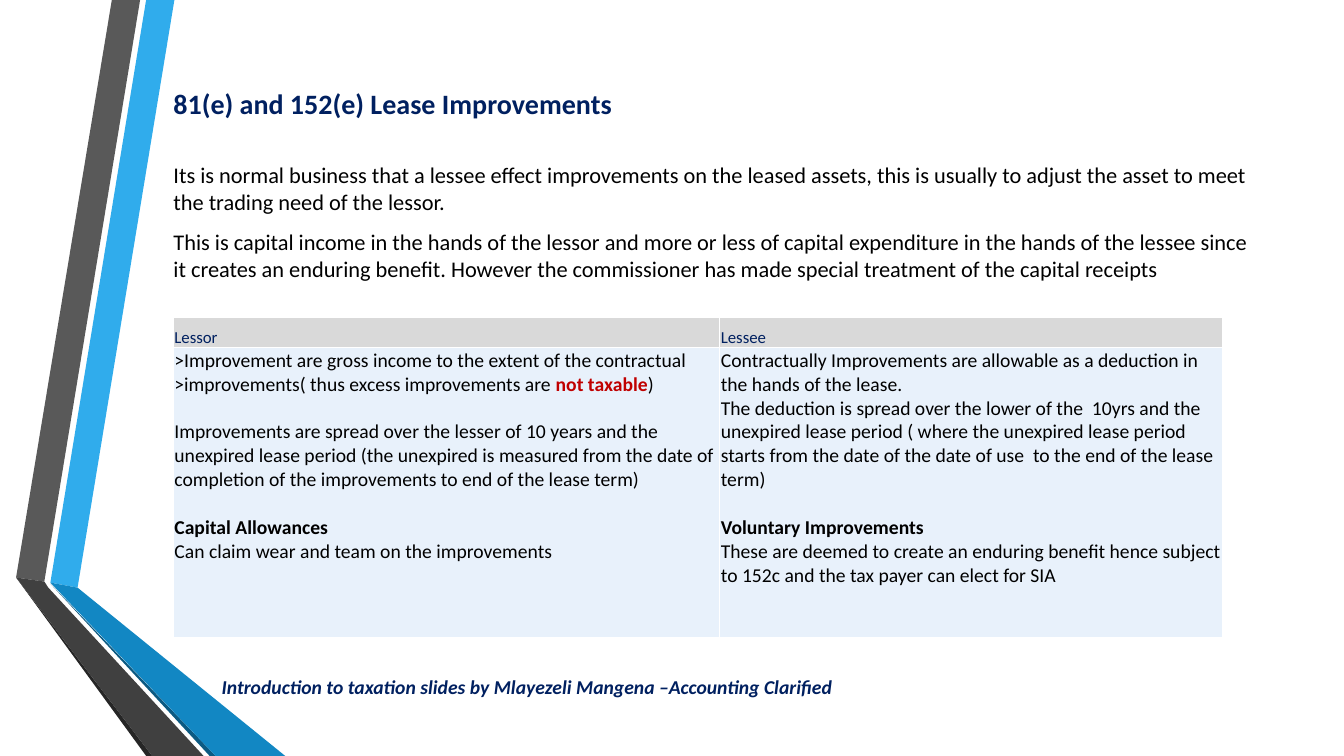
import pptx
import pptx.dml.color
import pptx.enum.text
import pptx.oxml
import pptx.oxml.ns
import pptx.util
from dataclasses import dataclass

Inches = pptx.util.Inches
Pt = pptx.util.Pt
Anchor = pptx.enum.text.MSO_ANCHOR


@dataclass(frozen=True)
class Theme:
    font: str = "Calibri"
    navy: str = "002060"
    black: str = "000000"
    red: str = "C00000"
    white: str = "FFFFFF"
    header_fill: str = "D9D9D9"
    cell_fill: str = "E8F1FB"
    title_size: int = 20
    body_size: int = 16
    table_size: int = 14
    header_size: int = 12
    footer_size: int = 14
    line_gap: int = 17  # one table text line, in points


THEME = Theme()

# Ribbon down the left edge: fill and corner points, back to front
RIBBON = [
    ("30ACEC", [(0.5, 5.78), (0.77, 5.83), (1.73, 0), (1.45, 0)]),
    ("595959", [(1.39, 0), (1.11, 0), (0.16, 5.73), (0.44, 5.77)]),
    ("262626", [(0.16, 5.73), (1.45, 7.5), (1.51, 7.5)]),
    ("0C5A82", [(0.5, 5.79), (2.08, 7.5), (2.14, 7.5)]),
    ("1287C3", [(0.5, 5.78), (2.14, 7.5), (2.83, 7.5), (0.77, 5.83)]),
    ("404040", [(2.02, 7.5), (0.48, 5.83), (0.44, 5.77), (0.16, 5.73), (1.51, 7.5)]),
]

BODY = [
    "Its is normal business that a lessee effect improvements on the leased assets, "
    "this is usually to adjust the asset to meet the trading need of the lessor.",
    "This is capital income in the hands of the lessor and more or less of capital "
    "expenditure in the hands of the lessee since it creates an enduring benefit. "
    "However the commissioner has made special treatment of the capital receipts",
]

HEADERS = ["Lessor", "Lessee"]

# Each paragraph: gap before it, then spans of text, colour and bold
LESSOR = [
    (0, [(">Improvement are gross income to the extent of the contractual", THEME.black, False)]),
    (0, [(">improvements( thus excess improvements are ", THEME.black, False),
         ("not taxable", THEME.red, True),
         (")", THEME.black, False)]),
    (THEME.line_gap, [("Improvements are spread over the lesser of 10 years and the unexpired "
                       "lease period (the unexpired is measured from the date of completion "
                       "of the improvements to end of the lease term)", THEME.black, False)]),
    (THEME.line_gap, [("Capital Allowances", THEME.black, True)]),
    (0, [("Can claim wear and team on the improvements", THEME.black, False)]),
]
LESSEE = [
    (0, [("Contractually Improvements are allowable as a deduction in the hands of the lease.",
          THEME.black, False)]),
    (0, [("The deduction is spread over the lower of the  10yrs and the unexpired lease period "
          "( where the unexpired lease period starts from the date of the date of use  to the "
          "end of the lease term)", THEME.black, False)]),
    (THEME.line_gap, [("Voluntary Improvements", THEME.black, True)]),
    (0, [("These are deemed to create an enduring benefit hence subject to 152c and the tax "
          "payer can elect for SIA", THEME.black, False)]),
]


def rgb(value):
    return pptx.dml.color.RGBColor.from_string(value)


def format_span(span, size, color, bold=False, italic=False):
    span.font.name = THEME.font
    span.font.size = Pt(size)
    span.font.color.rgb = rgb(color)
    span.font.bold = bold
    span.font.italic = italic


def place(shape, left, top, width, height):
    shape.left, shape.top = Inches(left), Inches(top)
    shape.width, shape.height = Inches(width), Inches(height)


def add_facet(page, color, corners):
    points = [(Inches(x), Inches(y)) for x, y in corners]
    builder = page.shapes.build_freeform(*points[0])
    builder.add_line_segments(points[1:], close=True)
    facet = builder.convert_to_shape()
    facet.shadow.inherit = False
    facet.fill.solid()
    facet.fill.fore_color.rgb = rgb(color)
    facet.line.fill.background()


def fill_title(page, text):
    title = page.shapes.title
    place(title, 1.62, 0.75, 10.96, 0.54)
    title.text_frame.text = text
    title.text_frame.vertical_anchor = Anchor.MIDDLE
    para = title.text_frame.paragraphs[0]
    para.alignment = pptx.enum.text.PP_ALIGN.LEFT
    format_span(para.runs[0], THEME.title_size, THEME.navy, bold=True)


def fill_body(page, texts):
    body = page.placeholders[1]
    place(body, 1.62, 1.55, 10.96, 4.79)
    frame = body.text_frame
    for index, text in enumerate(texts):
        para = frame.paragraphs[0] if index == 0 else frame.add_paragraph()
        para.text = text
        properties = para._p.get_or_add_pPr()
        properties.set("marL", "0")
        properties.set("indent", "0")
        properties.append(pptx.oxml.parse_xml(
            f'<a:buNone {pptx.oxml.ns.nsdecls("a")}/>'))
        para.space_before = Pt(3.2 if index else 0)
        para.space_after = Pt(6)
        format_span(para.runs[0], THEME.body_size, THEME.black)


def style_cell(cell, fill, anchor):
    cell.fill.solid()
    cell.fill.fore_color.rgb = rgb(fill)
    cell.vertical_anchor = anchor
    cell.margin_left = cell.margin_right = cell.margin_top = Inches(0.01)
    cell.margin_bottom = 0
    # Borders come before the fill in the cell properties
    properties = cell._tc.get_or_add_tcPr()
    for position, side in enumerate(("lnL", "lnR", "lnT", "lnB")):
        properties.insert(position, pptx.oxml.parse_xml(
            f'<a:{side} {pptx.oxml.ns.nsdecls("a")} w="{Pt(1)}"><a:solidFill>'
            f'<a:srgbClr val="{THEME.white}"/></a:solidFill></a:{side}>'))


def write_cell(cell, paragraphs, size):
    frame = cell.text_frame
    for index, (gap, spans) in enumerate(paragraphs):
        para = frame.paragraphs[0] if index == 0 else frame.add_paragraph()
        if gap:
            para.space_before = Pt(gap)
        for text, color, bold in spans:
            span = para.add_run()
            span.text = text
            format_span(span, size, color, bold)


def add_comparison(page):
    table = page.shapes.add_table(
        2, 2, Inches(1.72), Inches(3.15), Inches(10.41), Inches(3.18)).table
    for column, width in zip(table.columns, (5.42, 4.99)):
        column.width = Inches(width)
    for row, height in zip(table.rows, (0.3, 2.88)):
        row.height = Inches(height)
    for column, (header, content) in enumerate(zip(HEADERS, (LESSOR, LESSEE))):
        top, bottom = table.cell(0, column), table.cell(1, column)
        style_cell(top, THEME.header_fill, Anchor.BOTTOM)
        write_cell(top, [(0, [(header, THEME.navy, False)])], THEME.header_size)
        style_cell(bottom, THEME.cell_fill, Anchor.TOP)
        write_cell(bottom, content, THEME.table_size)


def add_footer(page, text):
    box = page.shapes.add_textbox(Inches(2.1), Inches(6.61), Inches(7.75), Inches(0.4))
    frame = box.text_frame
    frame.word_wrap = True
    frame.vertical_anchor = Anchor.MIDDLE
    frame.text = text
    format_span(frame.paragraphs[0].runs[0], THEME.footer_size, THEME.navy,
                bold=True, italic=True)


def main():
    deck = pptx.Presentation()
    deck.slide_width, deck.slide_height = Inches(13.33), Inches(7.5)
    page = deck.slides.add_slide(deck.slide_layouts[1])

    # Decoration
    for color, corners in RIBBON:
        add_facet(page, color, corners)

    # Content
    fill_title(page, "81(e) and 152(e) Lease Improvements")
    fill_body(page, BODY)
    add_comparison(page)
    add_footer(page, "Introduction to taxation slides by Mlayezeli Mangena –Accounting Clarified")

    deck.save("out.pptx")


if __name__ == "__main__":
    main()
